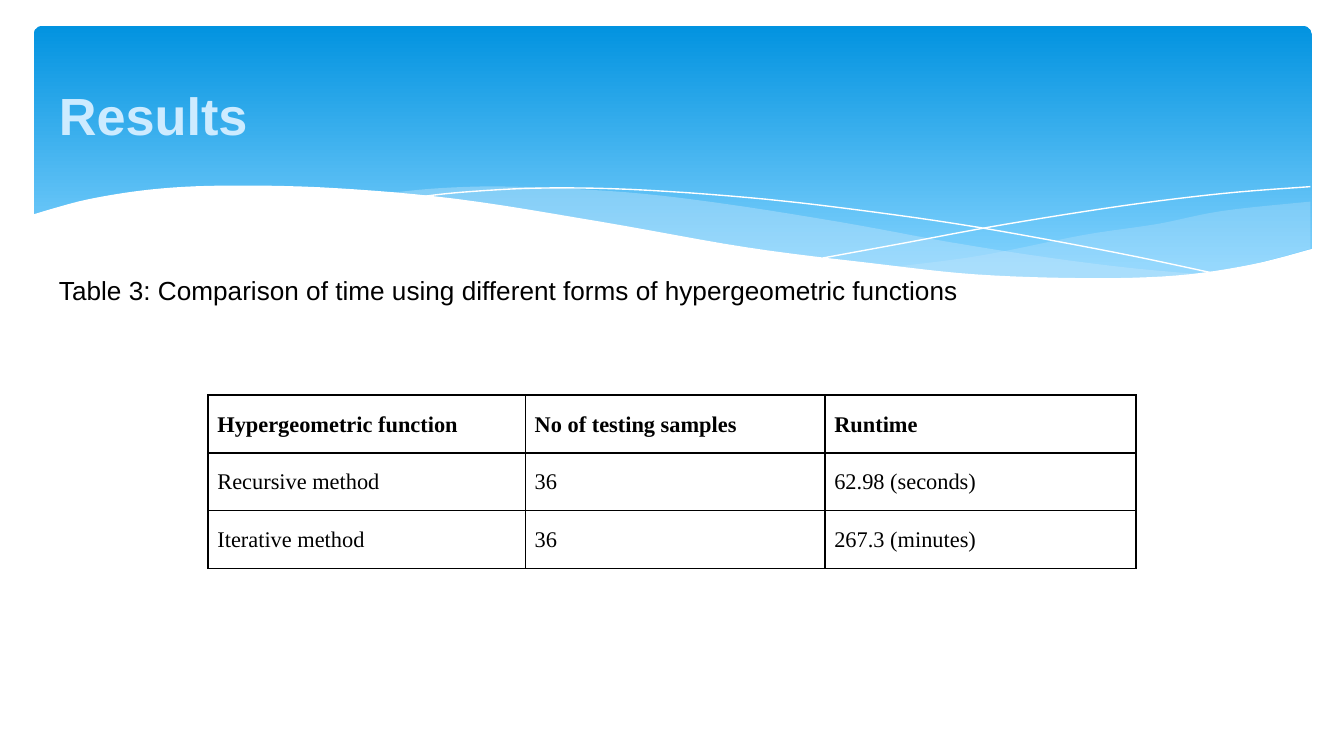
from dataclasses import dataclass
from typing import Optional

from lxml.etree import SubElement as Sub
from pptx import Presentation as Deck
from pptx.dml.color import RGBColor as Rgb
from pptx.enum.shapes import MSO_SHAPE as Kind
from pptx.enum.text import MSO_ANCHOR as Anchor
from pptx.oxml.ns import qn
from pptx.util import Pt


@dataclass(frozen=True)
class Theme:
    top: str = "0293E0"
    base: str = "83D3FE"
    mist: str = "C6E7FC"
    white: str = "FFFFFF"
    black: str = "000000"
    title: str = "CDEBFF"
    sans: str = "Arial"
    serif: str = "Times New Roman"
    head: float = 28
    body: float = 14
    cell: float = 12


@dataclass(frozen=True)
class Wave:
    edges: tuple
    fill: Optional[str] = None
    alpha: int = 100
    line: Optional[str] = None


LOOK = Theme()
STEPS = 6

WAVES = (
    Wave((((702, 108), (655, 113), (620, 120), (580, 126), (525, 137), (476, 143.3)),
          ((476, 143.3), (518, 147.2), (570, 149.8), (608, 149), (640, 147),
           (673, 141), (702, 133.2))), LOOK.mist, 29),
    Wave((((643, 147), (603, 143.3), (558, 137.5), (508, 129.6), (453, 119.5),
           (389.5, 109.4), (335, 103), (274, 100), (236, 100.8), (206, 103.7)),
          ((206, 103.7), (246, 107.3), (291, 113.8), (323, 119.5), (381.6, 129.6),
           (432.7, 137.5), (489.6, 144.7), (548, 149.8), (589, 150.5), (643, 147))),
         LOOK.mist, 40),
    Wave((((222.5, 105.8), (247.7, 103), (288.7, 100.8), (337.7, 101.5), (400, 105.8),
           (458, 112.3), (523.4, 121.7), (598, 135.4), (653, 147)),), line=LOOK.white),
    Wave((((441, 138.2), (484, 130.3), (538.6, 120.2), (602, 110.2), (655, 103.7),
           (702, 100)),), line=LOOK.white),
    Wave((((16.6, 115.2), (48, 106.6), (86, 101), (127, 99.4), (180, 100.8),
           (245, 106.6), (322, 118.8), (400, 132.5), (467, 141), (523, 147),
           (582, 149), (630, 147.6), (670, 141.8), (703.4, 133.2)),
          ((703.4, 178), (16.6, 178))), LOOK.white),
)

COLS = (170, 160.5, 166.5)
ROWS = (
    ("Hypergeometric function", "No of testing samples", "Runtime"),
    ("Recursive method", "36", "62.98 (seconds)"),
    ("Iterative method", "36", "267.3 (minutes)"),
)


def blend(a: float, b: float, c: float, d: float, t: float) -> float:
    return b + t / 2 * (c - a + t * (2 * a - 5 * b + 4 * c - d + t * (3 * (b - c) + d - a)))


def smooth(knots: tuple) -> list:
    if len(knots) < 3:
        return list(knots)
    pad = (knots[0], *knots, knots[-1])
    dots = [knots[0]]
    for four in zip(pad, pad[1:], pad[2:], pad[3:]):
        for step in range(1, STEPS + 1):
            dots.append(tuple(blend(*axis, step / STEPS) for axis in zip(*four)))
    return dots


def draw_wave(slide, wave: Wave) -> None:
    dots = [(Pt(x), Pt(y)) for edge in wave.edges for x, y in smooth(edge)]
    pen = slide.shapes.build_freeform(*dots[0])
    pen.add_line_segments(dots[1:], close=wave.fill is not None)
    shape = pen.convert_to_shape()
    shape.shadow.inherit = False
    if wave.fill:
        shape.fill.solid()
        shape.fill.fore_color.rgb = Rgb.from_string(wave.fill)
        tint = shape._element.spPr.find(qn("a:solidFill")).find(qn("a:srgbClr"))
        if wave.alpha < 100:
            Sub(tint, qn("a:alpha"), val=str(wave.alpha * 1000))
    else:
        shape.fill.background()
    if wave.line:
        shape.line.color.rgb = Rgb.from_string(wave.line)
        shape.line.width = Pt(0)
    else:
        shape.line.fill.background()


def draw_band(slide) -> None:
    band = slide.shapes.add_shape(
        Kind.ROUNDED_RECTANGLE, Pt(18), Pt(13.7), Pt(684.7), Pt(145.4))
    band.adjustments[0] = 0.034
    band.shadow.inherit = False
    band.line.fill.background()
    band.fill.gradient()
    band.fill.gradient_angle = 270
    for stop, spot, tint in zip(band.fill.gradient_stops, (0, 0.9), (LOOK.top, LOOK.base)):
        stop.position = spot
        stop.color.rgb = Rgb.from_string(tint)


def put_text(frame, text: str, *, size: float, font: str = LOOK.sans,
             color: str = LOOK.black, bold: bool = False, gap: float = 1.15) -> None:
    line = frame.paragraphs[0]
    line.line_spacing = gap
    run = line.add_run()
    run.text = text
    run.font.size = Pt(size)
    run.font.name = font
    run.font.bold = bold
    run.font.color.rgb = Rgb.from_string(color)


def add_box(slide, top: float, high: float, inset: float = 7.2):
    frame = slide.shapes.add_textbox(Pt(24.5), Pt(top), Pt(671), Pt(high)).text_frame
    frame.word_wrap = True
    frame.vertical_anchor = Anchor.TOP
    frame.margin_left = frame.margin_right = frame.margin_bottom = Pt(7.2)
    frame.margin_top = Pt(inset)
    return frame


def rule_cell(cell) -> None:
    props = cell._tc.get_or_add_tcPr()
    for slot, side in enumerate(("lnL", "lnR", "lnT", "lnB")):
        edge = Sub(props, qn(f"a:{side}"), w=str(Pt(1)))
        Sub(Sub(edge, qn("a:solidFill")), qn("a:srgbClr"), val=LOOK.black)
        props.insert(slot, edge)


def draw_table(slide) -> None:
    high = 29.7
    grid = slide.shapes.add_table(
        len(ROWS), len(COLS), Pt(111.5), Pt(211.6), Pt(sum(COLS)), Pt(high * len(ROWS))).table
    grid.horz_banding = False
    for col, wide in zip(grid.columns, COLS):
        col.width = Pt(wide)
    for r, row in enumerate(ROWS):
        grid.rows[r].height = Pt(high)
        for c, text in enumerate(row):
            cell = grid.cell(r, c)
            cell.margin_left = cell.margin_right = Pt(5)
            cell.margin_top = cell.margin_bottom = Pt(7.2)
            cell.fill.background()
            rule_cell(cell)
            put_text(cell.text_frame, text, size=LOOK.cell, font=LOOK.serif, bold=r == 0)


def main() -> None:
    deck = Deck()
    deck.slide_width, deck.slide_height = Pt(720), Pt(405)
    slide = deck.slides.add_slide(deck.slide_layouts[6])
    draw_band(slide)
    for wave in WAVES:
        draw_wave(slide, wave)
    put_text(add_box(slide, 35.3, 45.4, inset=9.5), "Results",
             size=LOOK.head, color=LOOK.title, bold=True, gap=1.0)
    put_text(add_box(slide, 137.5, 218),
             "Table 3: Comparison of time using different forms of hypergeometric functions",
             size=LOOK.body)
    draw_table(slide)
    deck.save("out.pptx")


if __name__ == "__main__":
    main()
